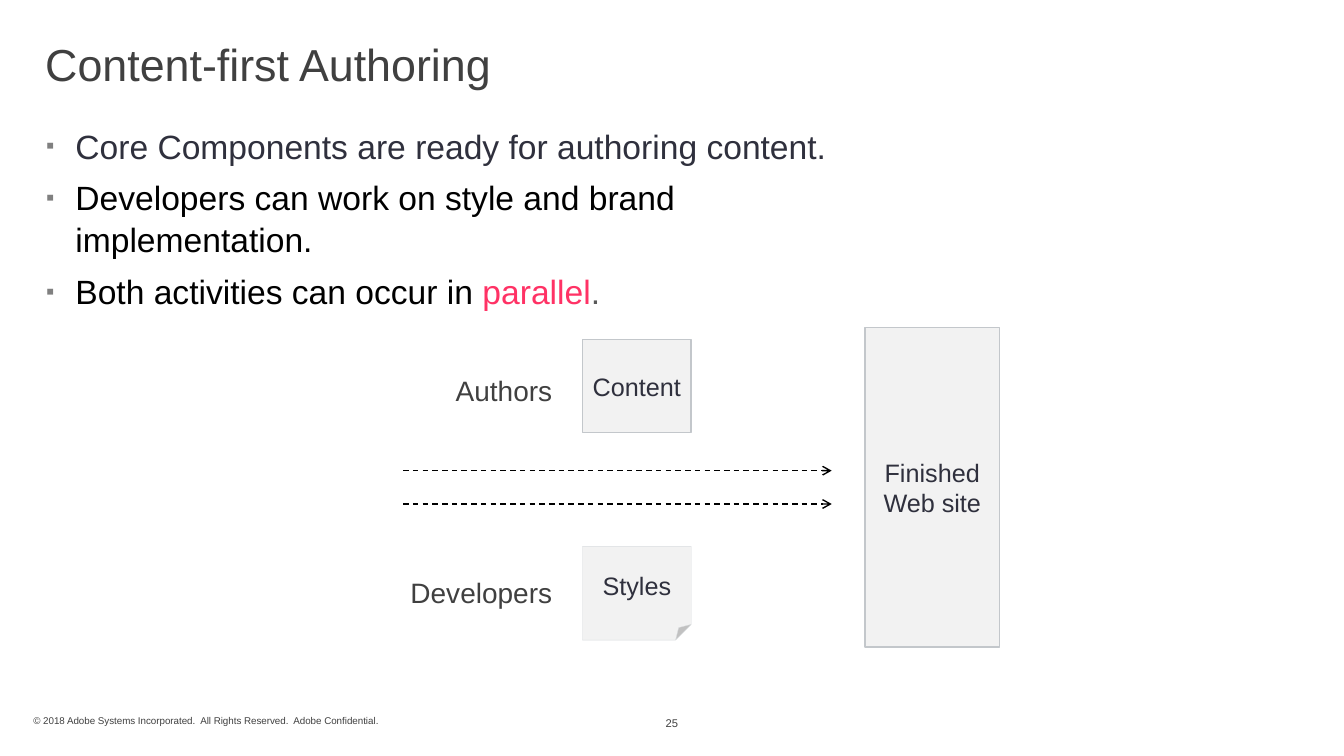
"""Build the "Content-first Authoring" slide."""
from dataclasses import dataclass

from lxml import etree
from pptx import Presentation
from pptx import util as u
from pptx.dml.color import RGBColor
from pptx.enum import dml, shapes, text
from pptx.oxml import ns

FONT = "Arial"
GREY = RGBColor(0x40, 0x40, 0x40)
NAVY = RGBColor(0x2F, 0x30, 0x3D)
BLACK = RGBColor(0, 0, 0)
PINK = RGBColor(0xFF, 0x32, 0x65)
MID_GREY = RGBColor(0x59, 0x59, 0x59)
BULLET_GREY = RGBColor(0x80, 0x80, 0x80)
PANEL = RGBColor(0xF2, 0xF2, 0xF2)
PANEL_EDGE = RGBColor(0xC3, 0xC7, 0xCB)
NOTE_EDGE = RGBColor(0xDA, 0xDD, 0xE0)

LEFT = text.PP_ALIGN.LEFT
CENTER = text.PP_ALIGN.CENTER
RIGHT = text.PP_ALIGN.RIGHT
TOP = text.MSO_ANCHOR.TOP
MIDDLE = text.MSO_ANCHOR.MIDDLE
BOTTOM = text.MSO_ANCHOR.BOTTOM
WIDE_INSETS = (0.3, 0.15)
LABEL_INSETS = (0.25, 0.13)


@dataclass(frozen=True)
class Area:
    left: float
    top: float
    width: float
    height: float

    def lengths(self) -> tuple:
        return tuple(u.Cm(n) for n in (self.left, self.top, self.width, self.height))


@dataclass(frozen=True)
class Label:
    wording: str
    area: Area
    size: float
    align: text.PP_ALIGN
    anchor: text.MSO_ANCHOR
    insets: tuple


@dataclass(frozen=True)
class Panel:
    wording: str
    area: Area
    outline: shapes.MSO_SHAPE
    edge: RGBColor
    edge_width: float


@dataclass(frozen=True)
class Span:
    wording: str
    color: RGBColor


TITLE_AREA = Area(0.84, 0.79, 32.16, 1.65)
BODY_AREA = Area(0.84, 2.97, 22.4, 5.38)

POINTS = [
    [Span("Core Components are ready for authoring content.", NAVY)],
    [Span("Developers can work on style and brand implementation.", BLACK)],
    [Span("Both activities can occur in ", BLACK), Span("parallel", PINK), Span(".", MID_GREY)],
]

LABELS = [
    Label("© 2018 Adobe Systems Incorporated.  All Rights Reserved.  Adobe Confidential.",
          Area(0.84, 18.01, 14.4, 0.3), 7, LEFT, BOTTOM, (0, 0)),
    Label("25", Area(15.52, 17.98, 2.82, 0.46), 8, CENTER, MIDDLE, WIDE_INSETS),
    Label("Authors", Area(8.66, 9.27, 5.51, 1.12), 20, RIGHT, TOP, LABEL_INSETS),
    Label("Developers", Area(8.66, 14.38, 5.51, 1.12), 20, RIGHT, TOP, LABEL_INSETS),
]

PANELS = [
    Panel("Styles", Area(14.68, 13.77, 2.74, 2.36), shapes.MSO_SHAPE.FOLDED_CORNER, NOTE_EDGE, 0.25),
    Panel("Content", Area(14.68, 8.56, 2.74, 2.34), shapes.MSO_SHAPE.RECTANGLE, PANEL_EDGE, 1),
    Panel("Finished\nWeb site", Area(21.8, 8.26, 3.39, 8.05), shapes.MSO_SHAPE.RECTANGLE, PANEL_EDGE, 1),
]

ARROW_START, ARROW_END = 10.16, 20.96
ARROW_HEIGHTS = (11.86, 12.7)


def place(holder, area: Area) -> None:
    """Move a shape to an area."""
    holder.left, holder.top, holder.width, holder.height = area.lengths()


def style_run(run, size: float, color: RGBColor) -> None:
    """Set the font of a run."""
    run.font.name = FONT
    run.font.size = u.Pt(size)
    run.font.color.rgb = color


def style_frame(frame, anchor: text.MSO_ANCHOR, insets: tuple, wrap: bool = True) -> None:
    """Set anchor, insets and wrapping of a text frame."""
    frame.auto_size = text.MSO_AUTO_SIZE.NONE
    frame.word_wrap = wrap
    frame.vertical_anchor = anchor
    frame.margin_left = frame.margin_right = u.Cm(insets[0])
    frame.margin_top = frame.margin_bottom = u.Cm(insets[1])


def write(frame, wording: str, size: float, color: RGBColor, align: text.PP_ALIGN) -> None:
    """Fill a text frame with evenly formatted paragraphs."""
    frame.text = wording
    for paragraph in frame.paragraphs:
        paragraph.alignment = align
        for run in paragraph.runs:
            style_run(run, size, color)


def add_bullet(paragraph) -> None:
    """Give a paragraph a small grey square bullet."""
    properties = paragraph._p.get_or_add_pPr()
    properties.set("marL", str(u.Cm(0.76)))
    properties.set("indent", str(u.Cm(-0.74)))
    bullet_color = etree.SubElement(properties, ns.qn("a:buClr"))
    etree.SubElement(bullet_color, ns.qn("a:srgbClr"), val=str(BULLET_GREY))
    etree.SubElement(properties, ns.qn("a:buSzPct"), val="70000")
    etree.SubElement(properties, ns.qn("a:buFont"), typeface=FONT)
    etree.SubElement(properties, ns.qn("a:buChar"), char="▪")


def fill_points(body) -> None:
    """Write the bullet list into the body placeholder."""
    place(body, BODY_AREA)
    frame = body.text_frame
    style_frame(frame, TOP, WIDE_INSETS)
    for index, spans in enumerate(POINTS):
        paragraph = frame.add_paragraph() if index else frame.paragraphs[0]
        add_bullet(paragraph)
        paragraph.alignment = LEFT
        paragraph.line_spacing = 1.04
        paragraph.space_before = u.Pt(7.1 if index else 0)
        for span in spans:
            run = paragraph.add_run()
            run.text = span.wording
            style_run(run, 24, span.color)


def draw_label(slide, label: Label) -> None:
    """Draw a free-standing label."""
    frame = slide.shapes.add_textbox(*label.area.lengths()).text_frame
    style_frame(frame, label.anchor, label.insets)
    write(frame, label.wording, label.size, GREY, label.align)


def draw_panel(slide, panel: Panel) -> None:
    """Draw a filled panel with centred text."""
    shape = slide.shapes.add_shape(panel.outline, *panel.area.lengths())
    shape.shadow.inherit = False
    shape.fill.solid()
    shape.fill.fore_color.rgb = PANEL
    shape.line.color.rgb = panel.edge
    shape.line.width = u.Pt(panel.edge_width)
    style_frame(shape.text_frame, MIDDLE, LABEL_INSETS, wrap=False)
    write(shape.text_frame, panel.wording, 18, NAVY, CENTER)


def draw_arrow(slide, height: float) -> None:
    """Draw a dashed arrow towards the finished site."""
    arrow = slide.shapes.add_connector(
        shapes.MSO_CONNECTOR.STRAIGHT,
        u.Cm(ARROW_START), u.Cm(height), u.Cm(ARROW_END), u.Cm(height))
    arrow.line.color.rgb = BLACK
    arrow.line.width = u.Pt(1)
    arrow.line.dash_style = dml.MSO_LINE.DASH
    etree.SubElement(arrow.line._get_or_add_ln(), ns.qn("a:tailEnd"), type="arrow")
    etree.SubElement(arrow._element.spPr, ns.qn("a:effectLst"))


def main() -> None:
    """Build and save the presentation."""
    deck = Presentation()
    deck.slide_width, deck.slide_height = u.Cm(33.87), u.Cm(19.05)
    slide = deck.slides.add_slide(deck.slide_layouts[1])
    title = slide.shapes.title
    place(title, TITLE_AREA)
    style_frame(title.text_frame, MIDDLE, WIDE_INSETS)
    write(title.text_frame, "Content-first Authoring", 32, GREY, LEFT)
    fill_points(slide.placeholders[1])
    for label in LABELS:
        draw_label(slide, label)
    for panel in PANELS:
        draw_panel(slide, panel)
    for height in ARROW_HEIGHTS:
        draw_arrow(slide, height)
    deck.save("out.pptx")


if __name__ == "__main__":
    main()
